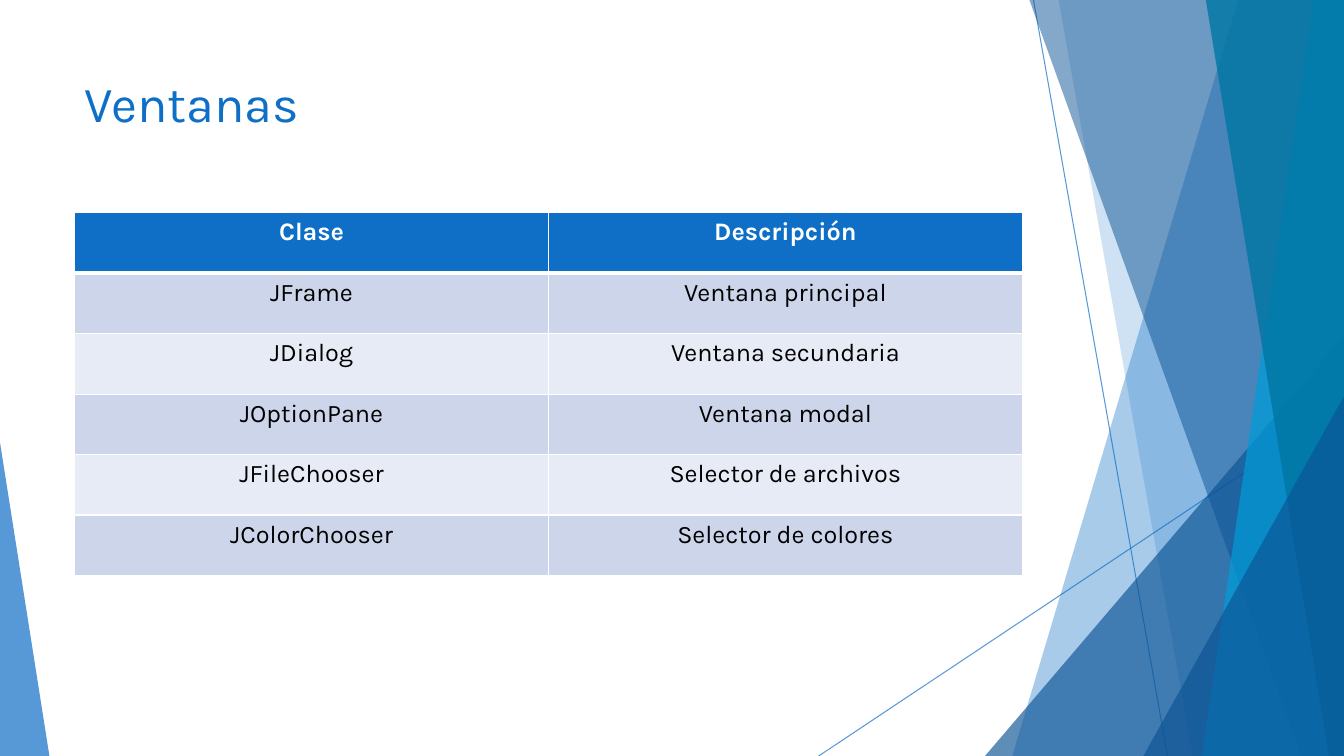
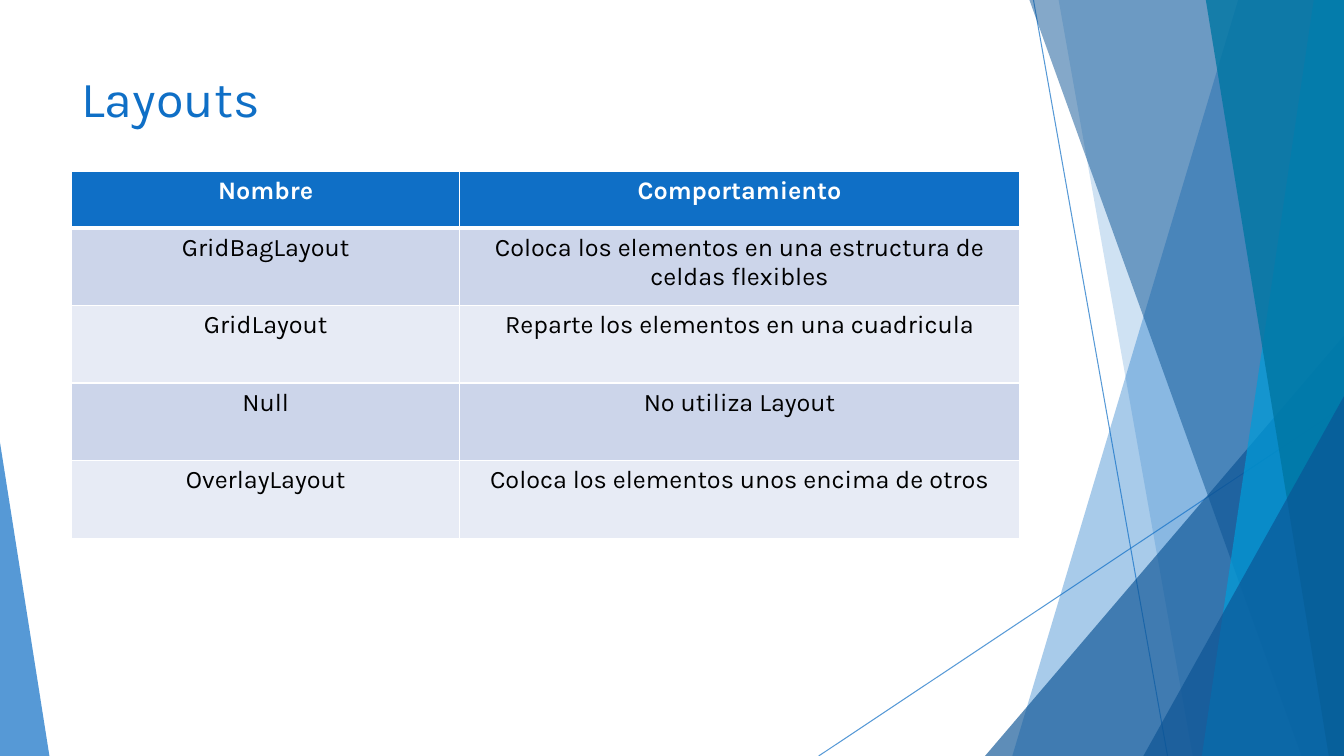
from dataclasses import dataclass

from lxml.etree import SubElement
from pptx import Presentation
from pptx.dml.color import RGBColor
from pptx.enum.shapes import MSO_CONNECTOR as LINE, MSO_SHAPE as SHAPE
from pptx.enum.text import MSO_ANCHOR as ANCHOR, PP_ALIGN as ALIGN
from pptx.oxml.ns import qn
from pptx.util import Inches, Pt

SLIDES = [
    {
        "title": "Ventanas",
        "title_at": (0.74, 0.67, 9.4, 1.44),
        "table_at": (0.74, 2.11),
        "cols": (4.7, 4.7),
        "rows": (0.6, 0.6),  # header, body
        "cells": [
            ("Clase", "Descripción"),
            ("JFrame", "Ventana principal"),
            ("JDialog", "Ventana secundaria"),
            ("JOptionPane", "Ventana modal"),
            ("JFileChooser", "Selector de archivos"),
            ("JColorChooser", "Selector de colores"),
        ],
    },
    {
        "title": "Layouts",
        "title_at": (0.71, 0.62, 9.4, 0.75),
        "table_at": (0.71, 1.7),
        "cols": (3.85, 5.55),
        "rows": (0.56, 0.77),
        "cells": [
            ("Nombre", "Comportamiento"),
            ("GridBagLayout",
             "Coloca los elementos en una estructura de celdas flexibles"),
            ("GridLayout", "Reparte los elementos en una cuadricula"),
            ("Null", "No utiliza Layout"),
            ("OverlayLayout", "Coloca los elementos unos encima de otros"),
        ],
    },
]


@dataclass(frozen=True)
class Theme:
    width: float = 13.33
    height: float = 7.5
    font: str = "Karla"
    title_size: int = 36
    cell_size: int = 18
    blue: str = "0F6FC6"
    navy: str = "0B5394"
    sky: str = "009DD9"
    teal: str = "0076A3"
    white: str = "FFFFFF"
    black: str = "000000"
    stripes: tuple = ("CCD5EA", "E7EBF5")
    hairline: float = 0.75
    border: int = 1
    header_border: int = 3


T = Theme()
W, H = T.width, T.height

RAYS = [(10.25, 0, 11.58, H), (W, 4.03, 8.12, H)]
# Back to front. A band runs from its slanted left edge (top x, bottom x) to
# the right side; a wedge stands on the bottom (left, top, width, apex share).
FACETS = [
    ("band", (12.28, 10.04), T.blue, 36),
    ("band", (10.5, 11.83), T.blue, 20),
    ("wedge", (9.77, 3.33, W - 9.77, 1), T.navy, 66),
    ("band", (10.21, 12.91), T.navy, 50),
    ("band", (13.03, 11.92), T.sky, 70),
    ("band", (11.96, 13.18), T.teal, 80),
    ("wedge", (11.34, 3.93, W - 11.34, 1), T.navy, 66),
    ("wedge", (0, 4.39, 0.49, 0), T.blue, 70),
]


def rgb(color):
    return RGBColor.from_string(color)


def set_alpha(sp, percent):
    """Apply one opacity to every colour of the shape."""
    for clr in sp._element.spPr.iter(qn("a:srgbClr")):
        SubElement(clr, qn("a:alpha"), val=str(percent * 1000))


def add_band(shapes, top_x, bottom_x):
    fb = shapes.build_freeform(Inches(top_x), 0)
    corners = [(W, 0), (W, H), (bottom_x, H)]
    fb.add_line_segments([(Inches(x), Inches(y)) for x, y in corners])
    return fb.convert_to_shape()


def add_wedge(shapes, left, top, width, apex):
    box = map(Inches, (left, top, width, H - top))
    sp = shapes.add_shape(SHAPE.ISOSCELES_TRIANGLE, *box)
    sp.adjustments[0] = apex
    return sp


def add_backdrop(s):
    for ray in RAYS:
        c = s.shapes.add_connector(LINE.STRAIGHT, *map(Inches, ray))
        c.line.color.rgb = rgb(T.blue)
        c.line.width = Pt(T.hairline)
        set_alpha(c, 70)
        SubElement(c._element.spPr, qn("a:effectLst"))
    draw = {"band": add_band, "wedge": add_wedge}
    for kind, geometry, color, alpha in FACETS:
        sp = draw[kind](s.shapes, *geometry)
        sp.shadow.inherit = False
        sp.line.fill.background()
        sp.fill.solid()
        sp.fill.fore_color.rgb = rgb(color)
        set_alpha(sp, alpha)


def write(tf, text, color, **format_values):
    p = tf.paragraphs[0]
    r = p.add_run()
    r.text = text
    r.font.color.rgb = rgb(color)
    for name, value in {"name": T.font, **format_values}.items():
        setattr(r.font, name, value)
    return p


def add_title(s, text, box):
    tf = s.shapes.add_textbox(*map(Inches, box)).text_frame
    tf.word_wrap = True
    tf.vertical_anchor = ANCHOR.TOP
    write(tf, text, T.blue, size=Pt(T.title_size))


def set_borders(cell, **widths):
    """Draw white borders; must run before the cell gets its fill."""
    tc_pr = cell._tc.get_or_add_tcPr()
    for side in "LRTB":
        ln = SubElement(tc_pr, qn(f"a:ln{side}"),
                        w=str(Pt(widths.get(side, T.border))))
        SubElement(SubElement(ln, qn("a:solidFill")), qn("a:srgbClr"),
                   val=T.white)


def add_table(s, at, cols, rows, cells):
    header, body = rows
    heights = [header] + [body] * (len(cells) - 1)
    size = (sum(cols), sum(heights))
    table = s.shapes.add_table(len(cells), len(cols),
                               *map(Inches, at + size)).table
    for col, width in zip(table.columns, cols):
        col.width = Inches(width)
    for i, (row, height, texts) in enumerate(zip(table.rows, heights, cells)):
        row.height = Inches(height)
        is_header = i == 0
        fill = T.blue if is_header else T.stripes[(i - 1) % 2]
        color = T.white if is_header else T.black
        thick = {0: {"B": T.header_border}, 1: {"T": T.header_border}}
        for cell, text in zip(row.cells, texts):
            set_borders(cell, **thick.get(i, {}))
            cell.fill.solid()
            cell.fill.fore_color.rgb = rgb(fill)
            p = write(cell.text_frame, text, color,
                      size=Pt(T.cell_size), bold=is_header)
            p.alignment = ALIGN.CENTER


def main():
    prs = Presentation()
    prs.slide_width, prs.slide_height = Inches(W), Inches(H)
    for item in SLIDES:
        s = prs.slides.add_slide(prs.slide_layouts[6])
        add_backdrop(s)
        add_title(s, item["title"], item["title_at"])
        add_table(s, item["table_at"], item["cols"], item["rows"],
                  item["cells"])
    prs.save("out.pptx")


if __name__ == "__main__":
    main()
